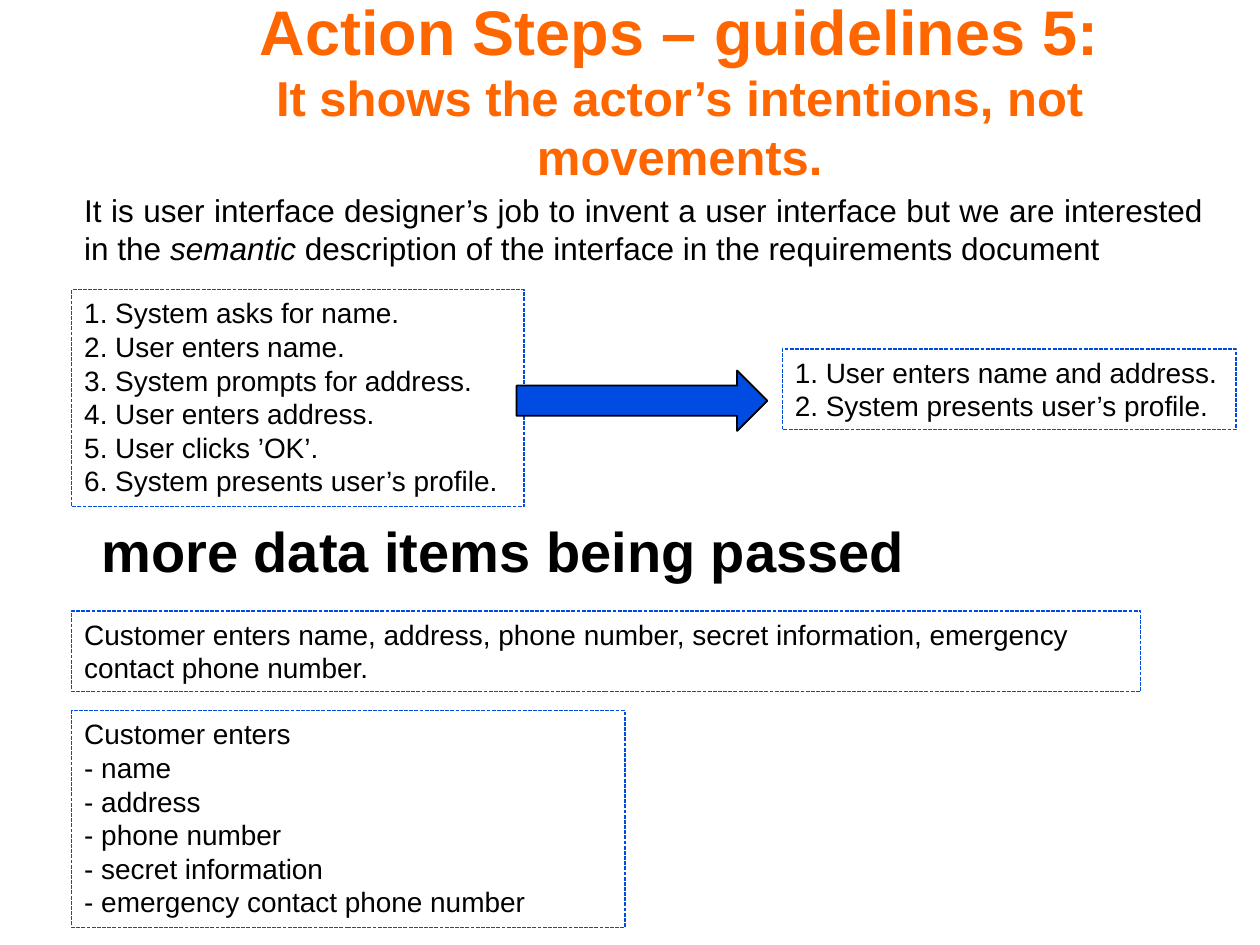
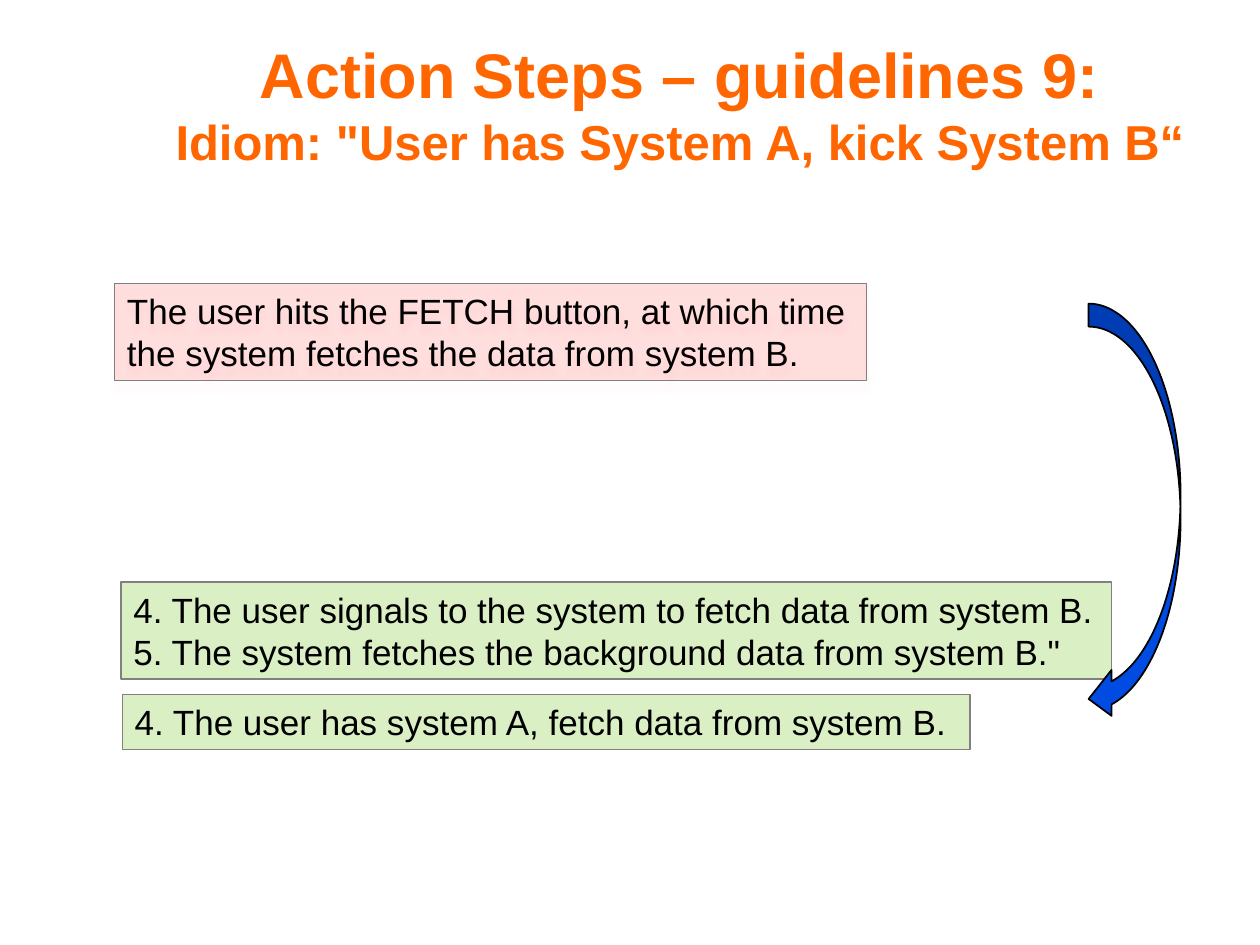
from dataclasses import dataclass
from lxml.etree import SubElement
from pptx import Presentation
from pptx.dml.color import RGBColor
from pptx.enum.dml import MSO_LINE
from pptx.enum.shapes import MSO_SHAPE as Preset
from pptx.enum.text import MSO_ANCHOR as Anchor, MSO_AUTO_SIZE as AutoSize, PP_ALIGN as Align
from pptx.oxml.ns import qn
from pptx.util import Inches, Pt


@dataclass(frozen=True)
class Theme:
    font: str = "Arial"
    title: str = "FF6600"
    ink: str = "000000"
    blue: str = "004CE2"
    grey: str = "808080"
    red: str = "FF0000"
    green: str = "92D050"
    title_size: int = 36
    subtitle_size: int = 28
    heading_size: int = 32
    example_size: int = 20
    intro_size: int = 18
    step_size: int = 16


@dataclass(frozen=True)
class Box:
    left: float
    top: float
    width: float
    height: float

    def inner(self, left, top, width, height):
        return Box(self.left + left, self.top + top, width, height)

    def lengths(self):
        return [Inches(n) for n in (self.left, self.top, self.width, self.height)]


THEME = Theme()


def style(para, size, color=THEME.ink, bold=False, align=Align.LEFT):
    para.alignment = align
    para.font.name = THEME.font
    para.font.size = Pt(size)
    para.font.bold = bold
    para.font.color.rgb = RGBColor.from_string(color)


def add_title(page, box, heading, subtitle):
    title = page.shapes.title
    title.left, title.top, title.width, title.height = box.lengths()
    frame = title.text_frame
    frame.auto_size = AutoSize.NONE
    frame.word_wrap = True
    frame.vertical_anchor = Anchor.MIDDLE
    para = frame.paragraphs[0]
    style(para, THEME.title_size, THEME.title, True, Align.CENTER)
    para.add_run().text = heading
    para.add_line_break()
    span = para.add_run()
    span.text = subtitle
    span.font.size = Pt(THEME.subtitle_size)


def add_preset(page, box, preset, line, weight):
    shape = page.shapes.add_shape(preset, *box.lengths())
    shape.shadow.inherit = False
    shape.line.color.rgb = RGBColor.from_string(line)
    shape.line.width = Pt(weight)
    return shape


def add_arrow(page, box, preset):
    arrow = add_preset(page, box, preset, THEME.ink, 1)
    arrow.fill.solid()
    arrow.fill.fore_color.rgb = RGBColor.from_string(THEME.blue)


def add_lines(page, box, lines, size, line):
    shape = add_preset(page, box, Preset.RECTANGLE, line, 0.75)
    frame = shape.text_frame
    frame.word_wrap = True
    frame.vertical_anchor = Anchor.TOP
    frame.text = "\n".join(lines)
    for para in frame.paragraphs:
        style(para, size)
    return shape


def add_steps(page, box, lines):
    steps = add_lines(page, box, lines, THEME.step_size, THEME.blue)
    steps.fill.background()
    steps.line.dash_style = MSO_LINE.SQUARE_DOT


def add_example(page, box, lines, color, opacity):
    example = add_lines(page, box, lines, THEME.example_size, THEME.grey)
    example.fill.solid()
    example.fill.fore_color.rgb = RGBColor.from_string(color)
    tint = example.element.spPr.find(f"{qn('a:solidFill')}/{qn('a:srgbClr')}")
    SubElement(tint, qn("a:alpha"), val=str(opacity * 1000))
    return example


def add_glow(shape, color):
    effects = shape.element.spPr.find(qn("a:effectLst"))
    shadow = SubElement(effects, qn("a:outerShdw"), blurRad=str(Pt(4)), dist=str(Pt(4)),
                        dir="5400000", rotWithShape="0")
    tint = SubElement(shadow, qn("a:srgbClr"), val=color)
    SubElement(tint, qn("a:alpha"), val="6000")


def add_text(page, box, parts, size, bold=False, align=Align.LEFT):
    frame = page.shapes.add_textbox(*box.lengths()).text_frame
    frame.word_wrap = True
    para = frame.paragraphs[0]
    style(para, size, bold=bold, align=align)
    for text, italic in parts:
        span = para.add_run()
        span.text = text
        if italic:
            span.font.italic = True


def add_intentions(page, box):
    add_steps(page, box.inner(0, 0, 3.59, 1.72), [
        "1. System asks for name.",
        "2. User enters name.",
        "3. System prompts for address.",
        "4. User enters address.",
        "5. User clicks ’OK’.",
        "6. System presents user’s profile.",
    ])
    add_arrow(page, box.inner(3.53, 0.64, 1.99, 0.48), Preset.RIGHT_ARROW)
    add_steps(page, box.inner(5.64, 0.47, 3.6, 0.64), [
        "1. User enters name and address.",
        "2. System presents user’s profile.",
    ])


def add_data_items(page, box):
    add_text(page, box.inner(0.11, 0, 6.63, 0.64), [("more data items being passed", False)],
             THEME.heading_size, True, Align.CENTER)
    add_steps(page, box.inner(0, 0.8, 8.48, 0.64), [
        "Customer enters name, address, phone number, secret information, "
        "emergency contact phone number.",
    ])
    add_steps(page, box.inner(0, 1.59, 4.39, 1.72), [
        "Customer enters",
        "- name",
        "- address",
        "- phone number",
        "- secret information",
        "- emergency contact phone number",
    ])


def add_rewording(page, box):
    before = add_example(page, box.inner(0, 0, 5.97, 0.77), [
        "The user hits the FETCH button, at which time the system fetches the data from system B.",
    ], THEME.red, 12)
    add_glow(before, THEME.red)
    add_example(page, box.inner(0.05, 2.37, 7.86, 0.77), [
        "4. The user signals to the system to fetch data from system B.",
        "5. The system fetches the background data from system B.\"",
    ], THEME.green, 33)
    add_arrow(page, box.inner(7.73, 0.16, 0.73, 3.32), Preset.CURVED_LEFT_ARROW)
    add_example(page, box.inner(0.06, 3.26, 6.73, 0.44), [
        "4. The user has system A, fetch data from system B.",
    ], THEME.green, 33)


def build_intentions_page(page):
    add_title(page, Box(1.02, 0.16, 8.75, 1.09), "Action Steps – guidelines 5:",
              "It shows the actor’s intentions, not movements.")
    add_text(page, Box(0.57, 1.47, 9.08, 0.71), [
        ("It is user interface designer’s job to invent a user interface "
         "but we are interested in the ", False),
        ("semantic", True),
        (" description of the interface in the requirements document", False),
    ], THEME.intro_size, align=Align.JUSTIFY)
    add_intentions(page, Box(0.57, 2.3, 9.24, 1.72))
    add_data_items(page, Box(0.57, 4.05, 8.48, 3.31))


def build_idiom_page(page):
    add_title(page, Box(1.02, 0.16, 8.75, 1.31), "Action Steps – guidelines 9:",
              "Idiom: \"User has System A, kick System B“")
    add_rewording(page, Box(0.91, 2.25, 8.46, 3.7))


def main():
    deck = Presentation()
    deck.slide_width, deck.slide_height = Inches(10), Inches(7.5)
    title_only = deck.slide_layouts.get_by_name("Title Only")
    for build in (build_intentions_page, build_idiom_page):
        build(deck.slides.add_slide(title_only))
    deck.save("out.pptx")


if __name__ == "__main__":
    main()
